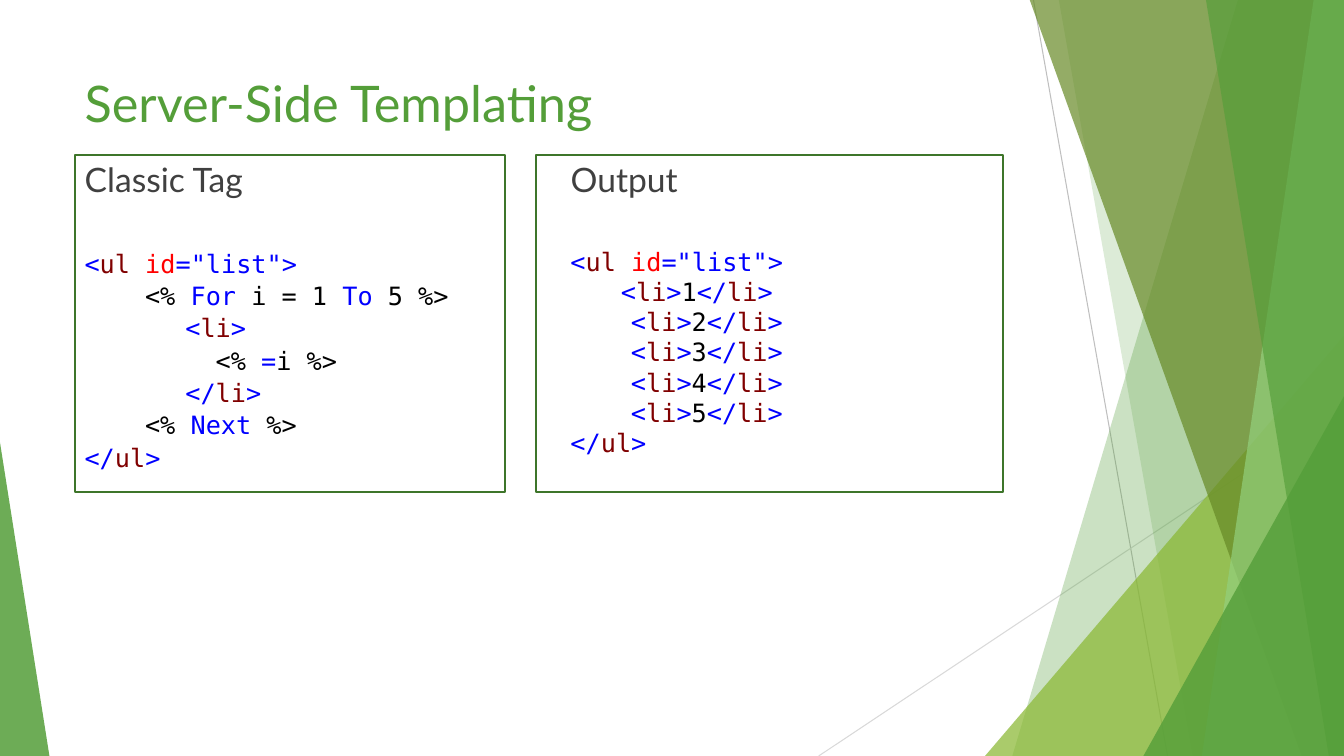
from pptx import Presentation
from pptx.dml.color import RGBColor
from pptx.enum.shapes import MSO_CONNECTOR, MSO_SHAPE
from pptx.enum.text import MSO_ANCHOR, MSO_AUTO_SIZE, PP_ALIGN
from pptx.oxml.ns import qn
from pptx.util import Inches, Pt
from lxml.etree import SubElement

GREEN = RGBColor(0x54, 0x9E, 0x39)
LIME = RGBColor(0x8A, 0xB8, 0x33)
OLIVE = RGBColor(0x67, 0x8A, 0x26)
MINT = RGBColor(0x93, 0xD0, 0x7D)
FRAME_GREEN = RGBColor(0x3E, 0x75, 0x2A)
GRAY = RGBColor(0xBF, 0xBF, 0xBF)
PALE_GRAY = RGBColor(0xD9, 0xD9, 0xD9)
DARK_GRAY = RGBColor(0x40, 0x40, 0x40)
BLUE = RGBColor(0x00, 0x00, 0xFF)
MAROON = RGBColor(0x80, 0x00, 0x00)
RED = RGBColor(0xFF, 0x00, 0x00)
BLACK = RGBColor(0x00, 0x00, 0x00)

WIDTH, HEIGHT = 13.33, 7.5
HEADING_FONT, CODE_FONT = "Lato", "DejaVu Sans Mono"


def tag(name, opening="<"):
    """Return the coloured tokens of one HTML tag."""
    return [(opening, BLUE), (name, MAROON), (">", BLUE)]


def item(number):
    """Return the coloured tokens of one list item."""
    return tag("li") + [(str(number), BLACK)] + tag("li", "</")


LIST_START = [("<", BLUE), ("ul ", MAROON), ("id", RED), ('="list">', BLUE)]
LIST_END = tag("ul", "</")
TEMPLATE_CODE = [
    (0, LIST_START),
    (0.6, [("<% ", BLACK), ("For ", BLUE), ("i = 1 ", BLACK), ("To", BLUE), (" 5 %>", BLACK)]),
    (1, tag("li")),
    (1.3, [("<% ", BLACK), ("=", BLUE), ("i %>", BLACK)]),
    (1, tag("li", "</")),
    (0.6, [("<% ", BLACK), ("Next ", BLUE), ("%>", BLACK)]),
    (0, LIST_END),
]
OUTPUT_CODE = [
    (0, LIST_START),
    (0.5, item(1)),
    *[(0.6, item(number)) for number in range(2, 6)],
    (0, LIST_END),
]


def place(part, left, top, width, height):
    """Move and size a part, in inches."""
    part.left, part.top = Inches(left), Inches(top)
    part.width, part.height = Inches(width), Inches(height)


def paint(facet, color, opacity):
    """Give a facet a translucent fill without outline or shadow."""
    facet.shadow.inherit = False
    facet.line.fill.background()
    facet.fill.solid()
    facet.fill.fore_color.rgb = color
    srgb = facet.fill._xPr.find(qn("a:solidFill"))[0]
    SubElement(srgb, qn("a:alpha")).set("val", str(opacity * 1000))


def add_ray(slide, start, end, color):
    """Draw a thin straight line between two points."""
    ray = slide.shapes.add_connector(MSO_CONNECTOR.STRAIGHT, *map(Inches, start + end))
    ray.line.color.rgb = color
    ray.line.width = Pt(0.75)
    SubElement(ray._element.spPr, qn("a:effectLst"))


def add_band(slide, top_left, bottom_left, color, opacity):
    """Fill from a slanted left edge to the right edge of the slide."""
    outline = slide.shapes.build_freeform(Inches(top_left), Inches(-0.01))
    corners = [(WIDTH, -0.01), (WIDTH, HEIGHT), (bottom_left, HEIGHT)]
    outline.add_line_segments([(Inches(x), Inches(y)) for x, y in corners])
    paint(outline.convert_to_shape(), color, opacity)


def add_corner(slide, left, top, width, apex, color, opacity):
    """Draw a right triangle standing on the bottom of the slide."""
    corner = slide.shapes.add_shape(
        MSO_SHAPE.ISOSCELES_TRIANGLE, *map(Inches, (left, top, width, HEIGHT - top)))
    corner.adjustments[0] = apex
    paint(corner, color, opacity)


def add_facets(slide):
    """Draw the green facets along both sides of the slide."""
    add_ray(slide, (10.25, 0), (11.58, HEIGHT), GRAY)
    add_ray(slide, (WIDTH, 4.03), (8.12, HEIGHT), PALE_GRAY)
    add_band(slide, 12.28, 10.04, GREEN, 30)
    add_band(slide, 10.5, 11.83, GREEN, 20)
    add_corner(slide, 9.77, 3.33, 3.56, 1, LIME, 72)
    add_band(slide, 10.21, 12.91, OLIVE, 70)
    add_band(slide, 13.03, 11.92, MINT, 70)
    add_band(slide, 11.96, 13.18, GREEN, 65)
    add_corner(slide, 11.34, 3.93, 1.99, 1, GREEN, 80)
    add_corner(slide, 0, 4.39, 0.49, 0, GREEN, 85)


def fill_heading(heading, box, text, size, color, anchor):
    """Write one left-aligned line into a placeholder."""
    place(heading, *box)
    frame = heading.text_frame
    frame.text = text
    frame.auto_size = MSO_AUTO_SIZE.NONE
    frame.vertical_anchor = anchor
    line = frame.paragraphs[0]
    line.alignment = PP_ALIGN.LEFT
    line.font.name, line.font.size, line.font.bold = HEADING_FONT, Pt(size), False
    line.font.color.rgb = color
    return line


def add_code(slide, box, code, spacing):
    """Write coloured code lines, each with its own indent."""
    listing = slide.shapes.add_textbox(*map(Inches, box)).text_frame
    listing.word_wrap = True
    for row, (indent, tokens) in enumerate(code):
        line = listing.add_paragraph() if row else listing.paragraphs[0]
        line.line_spacing = spacing
        line.font.name, line.font.size = CODE_FONT, Pt(18)
        line._p.get_or_add_pPr().set("marL", str(Inches(indent)))
        for text, color in tokens:
            token = line.add_run()
            token.text = text
            token.font.color.rgb = color


def add_panel(slide, heading, title, left, frame_box, code_size, code, spacing):
    """Build a framed column with its heading and code."""
    line = fill_heading(heading, (left, 1.4, 4.58, 0.63), title, 24, DARK_GRAY, MSO_ANCHOR.BOTTOM)
    line.space_before = Pt(10)
    add_code(slide, (left, 2.39, *code_size), code, spacing)
    frame = slide.shapes.add_shape(MSO_SHAPE.RECTANGLE, *map(Inches, frame_box))
    frame.shadow.inherit = False
    frame.fill.background()
    frame.line.color.rgb = FRAME_GREEN
    frame.line.width = Pt(1.5)


def build_comparison(deck):
    """Build the slide that sets the template beside its output."""
    slide = deck.slides.add_slide(deck.slide_layouts.get_by_name("Comparison"))
    title, template_heading, template_body, output_heading, output_body = list(slide.placeholders)[:5]
    for unused in (template_body, output_body):
        unused._element.getparent().remove(unused._element)
    add_facets(slide)
    fill_heading(title, (0.74, 0.67, 9.4, 0.73), "Server-Side Templating", 36, GREEN, MSO_ANCHOR.TOP)
    add_panel(slide, template_heading, "Classic Tag", 0.74, (0.74, 1.54, 4.27, 3.34),
              (4.35, 2.37), TEMPLATE_CODE, 1.07)
    add_panel(slide, output_heading, "Output", 5.56, (5.32, 1.54, 4.63, 3.34),
              (2.41, 2.22), OUTPUT_CODE, 1.0)


def main():
    """Create and save the presentation."""
    deck = Presentation()
    deck.slide_width, deck.slide_height = Inches(WIDTH), Inches(HEIGHT)
    build_comparison(deck)
    deck.save("out.pptx")


if __name__ == "__main__":
    main()
